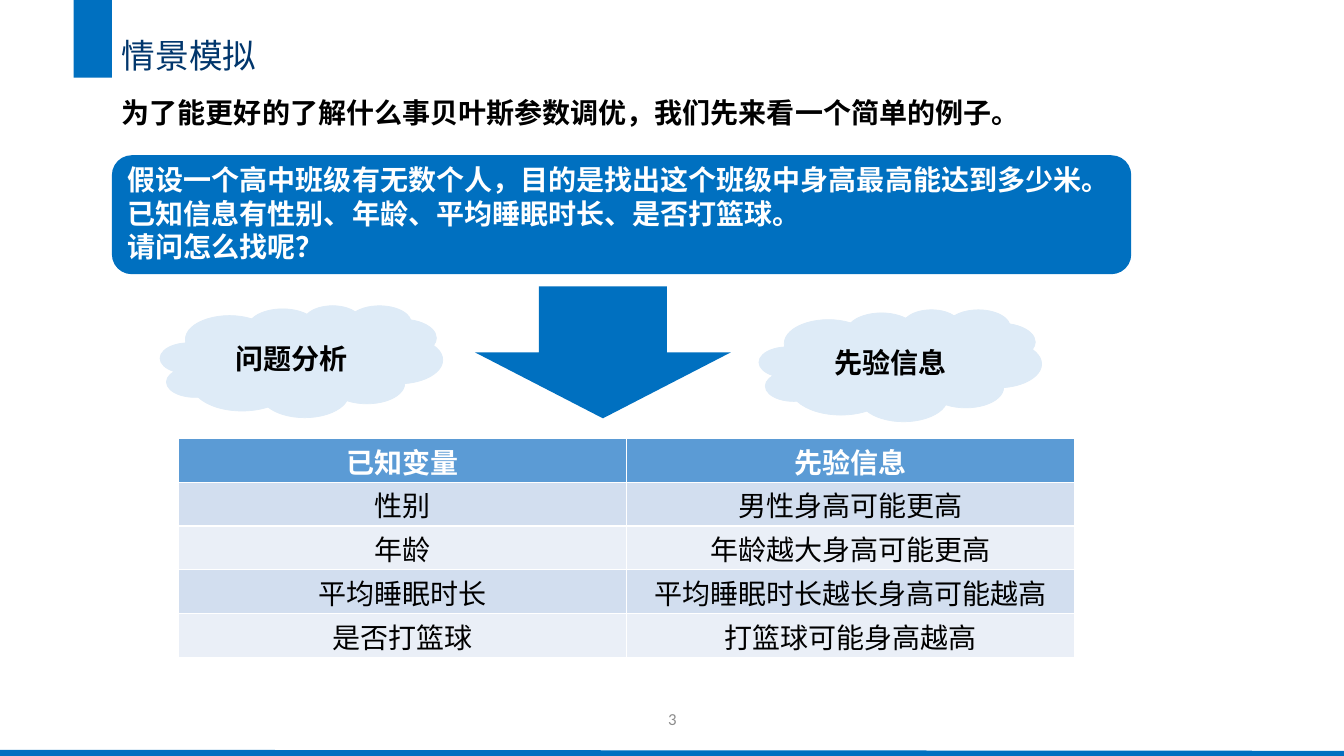
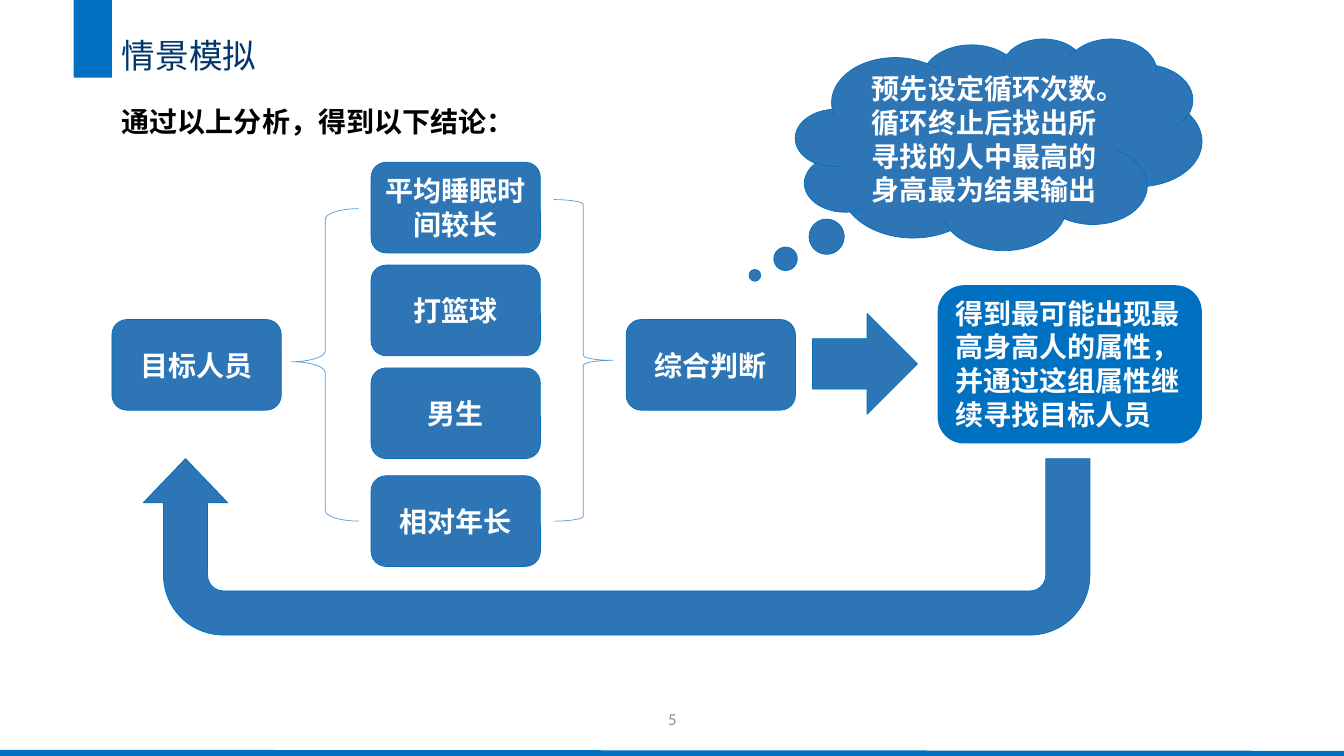
from lxml.etree import SubElement
from pptx import Presentation
from pptx.dml.color import RGBColor
from pptx.enum.shapes import MSO_CONNECTOR as Wire, MSO_SHAPE as Form
from pptx.enum.text import MSO_ANCHOR as Anchor, PP_ALIGN as Align
from pptx.oxml.ns import qn
from pptx.util import Pt

SCALE = 9144
BLUE, MID, SKY, PALE = "0070C0", "2E75B6", "5B9BD5", "DEEBF7"
WHITE, BLACK, NAVY, GRAY = "FFFFFF", "000000", "01366C", "8C8C8C"
BANDS = ("D2DEEF", "EAEFF7")
HAN, LATIN = "Noto Sans CJK SC", "Calibri"


def px(*nums):
    """Turn whole px into EMU."""
    return [round(num * SCALE) for num in nums]


def rgb(code):
    """Turn a hex string into a colour."""
    return RGBColor.from_string(code)


class Deck:
    """Hold the style and the current slide."""

    def __init__(self, wide, high):
        """Start an empty deck."""
        self.deck = Presentation()
        self.wide, self.high = wide, high
        self.deck.slide_width, self.deck.slide_height = px(wide, high)

    def page(self, title, number):
        """Add a slide with its band, title, footer line and number."""
        self.slide = self.deck.slides.add_slide(self.deck.slide_layouts[6])
        self.line(0, self.high - 3, self.wide, self.high - 2, BLUE, 4.5)
        self.shape(Form.RECTANGLE, (73, 0, 38, 77), BLUE)
        head = self.label(title, (111, 30, 955, 50), size=24, color=NAVY, bold=False)
        head.paragraphs[0].space_after = Pt(6)
        foot = self.label(str(number), (517, 693, 300, 40), size=12, color=GRAY,
                          bold=False, font=LATIN, align=Align.CENTER)
        foot.vertical_anchor = Anchor.MIDDLE

    def fill(self, frame, text, color, size=20, bold=True, font=HAN, align=Align.LEFT):
        """Fill a text frame and format its runs."""
        frame.text = text
        frame.word_wrap = True
        for para in frame.paragraphs:
            para.alignment = align
            para.line_spacing = Pt(size * 1.2)
            for run in para.runs:
                run.font.size, run.font.bold = Pt(size), bold
                run.font.name = font
                run.font.color.rgb = rgb(color)
                SubElement(run.font._element, qn("a:ea")).set("typeface", font)

    def label(self, text, box, color=BLACK, **style):
        """Add a text box."""
        frame = self.slide.shapes.add_textbox(*px(*box)).text_frame
        self.fill(frame, text, color, **style)
        return frame

    def line(self, left, top, right, low, color, width):
        """Add a straight line."""
        wire = self.slide.shapes.add_connector(Wire.STRAIGHT, *px(left, top, right, low))
        wire.line.color.rgb, wire.line.width = rgb(color), Pt(width)
        SubElement(wire._element.spPr, qn("a:effectLst"))

    def shape(self, form, box, fill=None, edge=None, bends=(), turn=0):
        """Add a preset shape."""
        item = self.slide.shapes.add_shape(form, *px(*box))
        item.shadow.inherit = False
        item.rotation = turn
        if fill:
            item.fill.solid()
            item.fill.fore_color.rgb = rgb(fill)
        else:
            item.fill.background()
        if edge:
            item.line.color.rgb, item.line.width = rgb(edge), Pt(0.5)
        else:
            item.line.fill.background()
        for spot, bend in enumerate(bends):
            item.adjustments[spot] = bend
        return item

    def node(self, form, box, text, fill=MID, edge=BLUE, color=WHITE, bends=()):
        """Add a shape with centred text."""
        frame = self.shape(form, box, fill, edge, bends).text_frame
        self.fill(frame, text, color, align=Align.CENTER)
        frame.vertical_anchor = Anchor.MIDDLE
        frame.margin_left, frame.margin_right = px(8, 8)

    def panel(self, box, text):
        """Add a rounded panel with text set at its foot."""
        frame = self.shape(Form.ROUNDED_RECTANGLE, box, BLUE).text_frame
        self.fill(frame, text, WHITE)
        frame.vertical_anchor = Anchor.BOTTOM

    def table(self, box, rows):
        """Add a table with a header and banded rows."""
        grid = self.slide.shapes.add_table(len(rows), len(rows[0]), *px(*box)).table
        for down, row in enumerate(rows):
            for across, text in enumerate(row):
                cell = grid.cell(down, across)
                head = down == 0
                cell.fill.solid()
                cell.fill.fore_color.rgb = rgb(SKY if head else BANDS[(down - 1) % 2])
                cell.margin_top, cell.margin_bottom = px(9, 1)
                self.fill(cell.text_frame, text, WHITE if head else BLACK,
                          bold=head, align=Align.CENTER)

    def scene(self):
        """Build the slide that sets the problem."""
        self.page("情景模拟", 3)
        self.panel((111, 154, 1011, 118),
                   "假设一个高中班级有无数个人，目的是找出这个班级中身高最高能达到多少米。\n"
                   "已知信息有性别、年龄、平均睡眠时长、是否打篮球。\n"
                   "请问怎么找呢？")
        self.label("为了能更好的了解什么事贝叶斯参数调优，我们先来看一个简单的例子。",
                   (111, 90, 974, 44))
        self.shape(Form.DOWN_ARROW, (471, 284, 254, 131), BLUE)
        for left, top, text in ((159, 303, "问题分析"), (753, 307, "先验信息")):
            self.node(Form.CLOUD, (left, top, 280, 111), text, PALE, PALE, BLACK)
        self.table((177, 435, 889, 217), (
            ("已知变量", "先验信息"),
            ("性别", "男性身高可能更高"),
            ("年龄", "年龄越大身高可能更高"),
            ("平均睡眠时长", "平均睡眠时长越长身高可能越高"),
            ("是否打篮球", "打篮球可能身高越高"),
        ))

    def cycle(self):
        """Build the slide that shows the search loop."""
        self.page("情景模拟", 5)
        self.panel((930, 283, 262, 157),
                   "得到最可能出现最高身高人的属性，并通过这组属性继续寻找目标人员")
        self.label("通过以上分析，得到以下结论：", (111, 99, 443, 44))
        nodes = (
            (111, 317, "目标人员"),
            (368, 161, "平均睡眠时间较长"),
            (368, 263, "打篮球"),
            (368, 365, "男生"),
            (368, 472, "相对年长"),
            (621, 317, "综合判断"),
        )
        for left, top, text in nodes:
            self.node(Form.ROUNDED_RECTANGLE, (left, top, 168, 90), text)
        self.shape(Form.LEFT_BRACE, (289, 207, 67, 310), edge=SKY, bends=(0.16, 0.49))
        self.shape(Form.RIGHT_BRACE, (549, 198, 59, 319), edge=SKY)
        self.shape(Form.U_TURN_ARROW, (142, 455, 939, 175), MID, BLUE,
                   (0.25, 0.24, 0.25, 0.34, 1), 180)
        self.shape(Form.RIGHT_ARROW, (806, 311, 104, 100), MID, BLUE)
        self.node(Form.CLOUD_CALLOUT, (789, 38, 403, 210),
                  "预先设定循环次数。循环终止后找出所寻找的人中最高的身高最为结果输出",
                  bends=(-0.6, 0.62))


def main():
    """Build and save the deck."""
    show = Deck(1333, 750)
    show.scene()
    show.cycle()
    show.deck.save("out.pptx")


if __name__ == "__main__":
    main()
